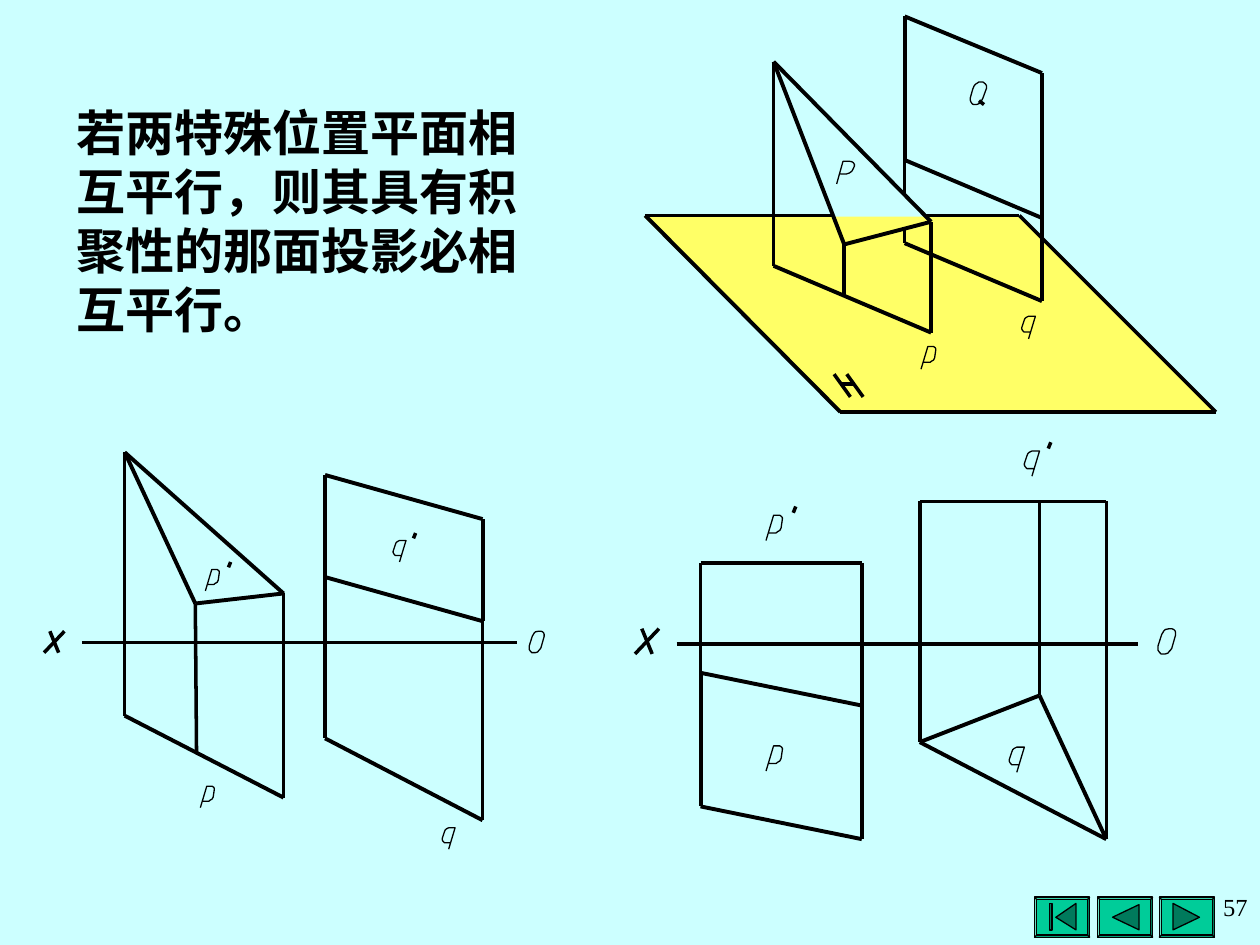
from dataclasses import dataclass, field
from itertools import pairwise

from lxml import etree
from pptx import Presentation
from pptx.dml.color import RGBColor
from pptx.enum.shapes import MSO_CONNECTOR, MSO_SHAPE
from pptx.enum.text import MSO_ANCHOR, PP_ALIGN
from pptx.oxml.ns import qn
from pptx.util import Cm, Pt

LINE = MSO_CONNECTOR.STRAIGHT
BEVEL = MSO_SHAPE.BEVEL
MIDDLE = MSO_ANCHOR.MIDDLE
RIGHT = PP_ALIGN.RIGHT

BLACK, CYAN, YELLOW = "000000", "CCFFFF", "FFFF66"
GREEN, DARK = "00CC99", "007A5C"
HAIR, BOLD = 0, 2.25
HAN, ROMAN = "Noto Sans CJK SC", "Times New Roman"

Path = list[tuple[float, float]]

# Strokes of each letter, in units of its height
GLYPHS: dict[str, list[Path]] = {
    "p": [[(0, 1), (.3, 0), (.55, 0), (.62, .05), (.65, .1), (.65, .15), (.6, .5),
           (.55, .6), (.46, .65), (.4, .7), (.12, .7)]],
    "q": [[(.3, 1), (.6, 0), (.3, 0), (.2, .05), (.14, .1), (.1, .2), (0, .5),
           (0, .56), (.03, .62), (.1, .7), (.2, .7), (.4, .7)]],
    "O": [[(.22, 1), (.3, 1), (.4, .97), (.45, .9), (.5, .85), (.55, .78), (.7, .25),
           (.7, .15), (.68, .08), (.63, .03), (.55, 0), (.45, 0), (.3, .03), (.24, .08),
           (.2, .15), (.15, .23), (0, .7), (0, .85), (.05, .92), (.12, 1), (.22, 1)]],
    "X": [[(.27, 0), (.68, 1)], [(.95, 0), (0, 1)]],
    "'": [[(.1, 0), (0, .25)]],
    "P": [[(0, 1), (.28, 0), (.56, 0), (.67, .02), (.73, .06), (.78, .13), (.78, .22),
           (.73, .33), (.67, .44), (.56, .52), (.44, .56), (.17, .56)]],
    "Q": [[(.56, .72), (.72, .28), (.72, .17), (.68, .1), (.62, .05), (.56, 0), (.39, 0),
           (.32, .05), (.24, .1), (.17, .18), (.11, .33), (0, .72), (0, .8), (.04, .9),
           (.1, .98), (.17, 1), (.28, 1), (.39, .96), (.48, .87), (.56, .72)],
          [(.39, .83), (.61, 1)]],
    "H": [[(.72, 1), (0, 0)], [(.33, .44), (.89, .44)], [(.56, 0), (1.28, 1)]],
}


@dataclass
class Mark:
    text: str
    x: float
    y: float


@dataclass
class Figure:
    high: float
    bold: list[Path]
    thin: list[Path]
    marks: list[Mark]
    plane: Path = field(default_factory=list)


@dataclass
class Button:
    left: float
    icons: list[Path]


FIGS = [
    Figure(
        .2,
        [[(7.3, 3.98), (8.78, 3.98)],
         [(7.3, 5.89), (8.25, 5.52), (8.78, 6.66), (7.3, 5.89)],
         [(5.56, 4.47), (6.84, 4.47)],
         [(5.56, 5.34), (5.56, 6.4), (6.84, 6.66), (6.84, 5.6), (5.56, 5.34)]],
        [[(8.25, 5.52), (8.25, 3.98)], [(6.84, 4.47), (6.84, 5.6)],
         [(7.3, 3.98), (7.3, 5.89)], [(8.78, 6.66), (8.78, 3.98)],
         [(5.56, 4.47), (5.56, 5.34)], [(5.37, 5.11), (9.03, 5.11)]],
        [Mark("O", 9.19, 4.99), Mark("X", 5.04, 4.99), Mark("p", 6.08, 5.92),
         Mark("q", 8.01, 5.93), Mark("p'", 6.08, 4.09), Mark("q'", 8.13, 3.58)]),
    Figure(
        .17,
        [[(2.58, 4.58), (2.58, 3.77), (3.83, 4.12), (3.83, 4.93), (2.58, 4.58)],
         [(.99, 3.59), (1.55, 4.79), (2.25, 4.71), (.99, 3.59)],
         [(.99, 5.68), (2.25, 6.33)], [(2.58, 5.86), (3.83, 6.51)]],
        [[(3.83, 6.51), (3.83, 4.93)], [(.99, 3.59), (.99, 5.68)],
         [(2.58, 4.58), (2.58, 5.86)], [(2.25, 6.33), (2.25, 4.71)],
         [(1.55, 4.79), (1.56, 5.97)], [(.65, 5.1), (4.1, 5.1)]],
        [Mark("O", 4.2, 5.01), Mark("X", .35, 5.01), Mark("p'", 1.63, 4.52),
         Mark("q'", 3.12, 4.29), Mark("q", 3.51, 6.57), Mark("p", 1.59, 6.24)]),
    Figure(
        .18,
        [[(7.18, 1.27), (7.18, .13), (8.27, .58), (8.27, 1.73), (7.18, 1.27)],
         [(7.18, 1.93), (8.27, 2.39)],
         [(6.14, .49), (6.7, 1.94), (7.39, 1.76), (6.14, .49)],
         [(5.12, 1.71), (6.67, 3.27), (9.65, 3.27)], [(6.14, 2.11), (7.39, 2.64)]],
        [[(8.27, 1.73), (8.27, 2.39)], [(7.18, 1.27), (7.18, 1.54)],
         [(7.18, 1.82), (7.18, 1.93)], [(7.34, 1.71), (8.09, 1.71), (9.65, 3.27)],
         [(7.39, 2.64), (7.39, 1.76)], [(6.7, 1.94), (6.7, 2.35)],
         [(6.14, 2.11), (6.14, .49)], [(5.12, 1.71), (6.61, 1.71)]],
        [Mark("Q", 7.7, .65), Mark("P", 6.64, 1.28), Mark("H", 6.62, 2.97),
         Mark("p", 7.31, 2.75), Mark("q", 8.11, 2.51)],
        [(5.11, 1.72), (8.09, 1.72), (9.65, 3.28), (6.67, 3.28)]),
]

BUTTONS = [
    Button(9.2, [[(9.31, 7.17), (9.52, 7.28), (9.31, 7.38)]]),
    Button(8.71, [[(8.83, 7.28), (9.04, 7.18), (9.04, 7.38)]]),
    Button(8.21, [[(8.38, 7.28), (8.54, 7.17), (8.54, 7.38)],
                  [(8.33, 7.17), (8.35, 7.17), (8.35, 7.38), (8.33, 7.38)]]),
]


def inch(num: float) -> Cm:
    return Cm(num * 2.54)


def tint(fmt, code: str) -> None:
    """Give a fill or a line one solid colour."""
    getattr(fmt, "fill", fmt).solid()
    getattr(fmt, "fill", fmt).fore_color.rgb = RGBColor.from_string(code)


def stroke(shape, width: float) -> None:
    tint(shape.line, BLACK)
    shape.line.width = Pt(width)


def free(shapes, path: Path, fill: str = "", width: float | None = HAIR, close: bool = False):
    """Draw an outline; no width means no line."""
    pts = [(inch(x), inch(y)) for x, y in path]
    pen = shapes.build_freeform(*pts[0], scale=1.0)
    pen.add_line_segments(pts[1:], close=close)
    shape = pen.convert_to_shape()
    shape.shadow.inherit = False
    if fill:
        tint(shape.fill, fill)
    else:
        shape.fill.background()
    if width is None:
        shape.line.fill.background()
    else:
        stroke(shape, width)


def lines(shapes, path: Path, width: float) -> None:
    """Join each point to the next with a straight line."""
    for (x1, y1), (x2, y2) in pairwise(path):
        line = shapes.add_connector(LINE, inch(x1), inch(y1), inch(x2), inch(y2))
        stroke(line, width)
        etree.SubElement(line._element.spPr, qn("a:effectLst"))


def letter(shapes, mark: Mark, high: float) -> None:
    for sign in mark.text:
        dx, dy = (1.08, -.35) if sign == "'" and mark.text[0] == "p" else \
                 (.95, -.35) if sign == "'" else (0, 0)
        for part in GLYPHS[sign]:
            path = [(mark.x + (x + dx) * high, mark.y + (y + dy) * high) for x, y in part]
            if len(path) == 2:
                lines(shapes, path, HAIR)
            else:
                free(shapes, path, close=path[0] == path[-1])


def draw(shapes, fig: Figure) -> None:
    group = shapes.add_group_shape().shapes
    if fig.plane:
        free(group, fig.plane, YELLOW, None, True)
    for width, paths in ((HAIR, fig.thin), (BOLD, fig.bold)):
        for path in paths:
            lines(group, path, width)
    for mark in fig.marks:
        letter(group, mark, fig.high)


def press(shapes, key: Button) -> None:
    """Draw a bevelled button with its icon."""
    box = shapes.add_shape(BEVEL, inch(key.left), inch(7.12), inch(.44), inch(.32))
    box.adjustments[0] = .06
    box.shadow.inherit = False
    tint(box.fill, GREEN)
    stroke(box, .75)
    for icon in key.icons:
        free(shapes, icon, DARK, .75, True)


def label(shapes, text: str, box: tuple, size: float, font: str, bold: bool = False):
    frame = shapes.add_textbox(*map(inch, box)).text_frame
    frame.word_wrap = True
    para = frame.paragraphs[0]
    para.text = text
    run = para.runs[0]
    run.font.size, run.font.name, run.font.bold = Pt(size), font, bold
    tint(run.font.fill, BLACK)
    etree.SubElement(run._r.get_or_add_rPr(), qn("a:ea"), typeface=font)
    return frame


def main() -> None:
    deck = Presentation()
    deck.slide_width, deck.slide_height = inch(10), inch(7.5)
    slide = deck.slides.add_slide(deck.slide_layouts[6])
    tint(slide.background.fill, CYAN)
    shapes = slide.shapes
    for key in BUTTONS:
        press(shapes, key)
    rule = label(shapes, "若两特殊位置平面相互平行，则其具有积聚性的那面投影必相互平行。",
                 (.51, .76, 4.02, 1.97), 28, HAN, True)
    rule.vertical_anchor = MIDDLE
    rule.paragraphs[0].line_spacing = Pt(33.7)
    for fig in FIGS:
        draw(shapes, fig)
    page = label(shapes, "57", (7.48, 7.03, 2.52, .61), 14, ROMAN)
    page.paragraphs[0].alignment = RIGHT
    deck.save("out.pptx")


if __name__ == "__main__":
    main()
